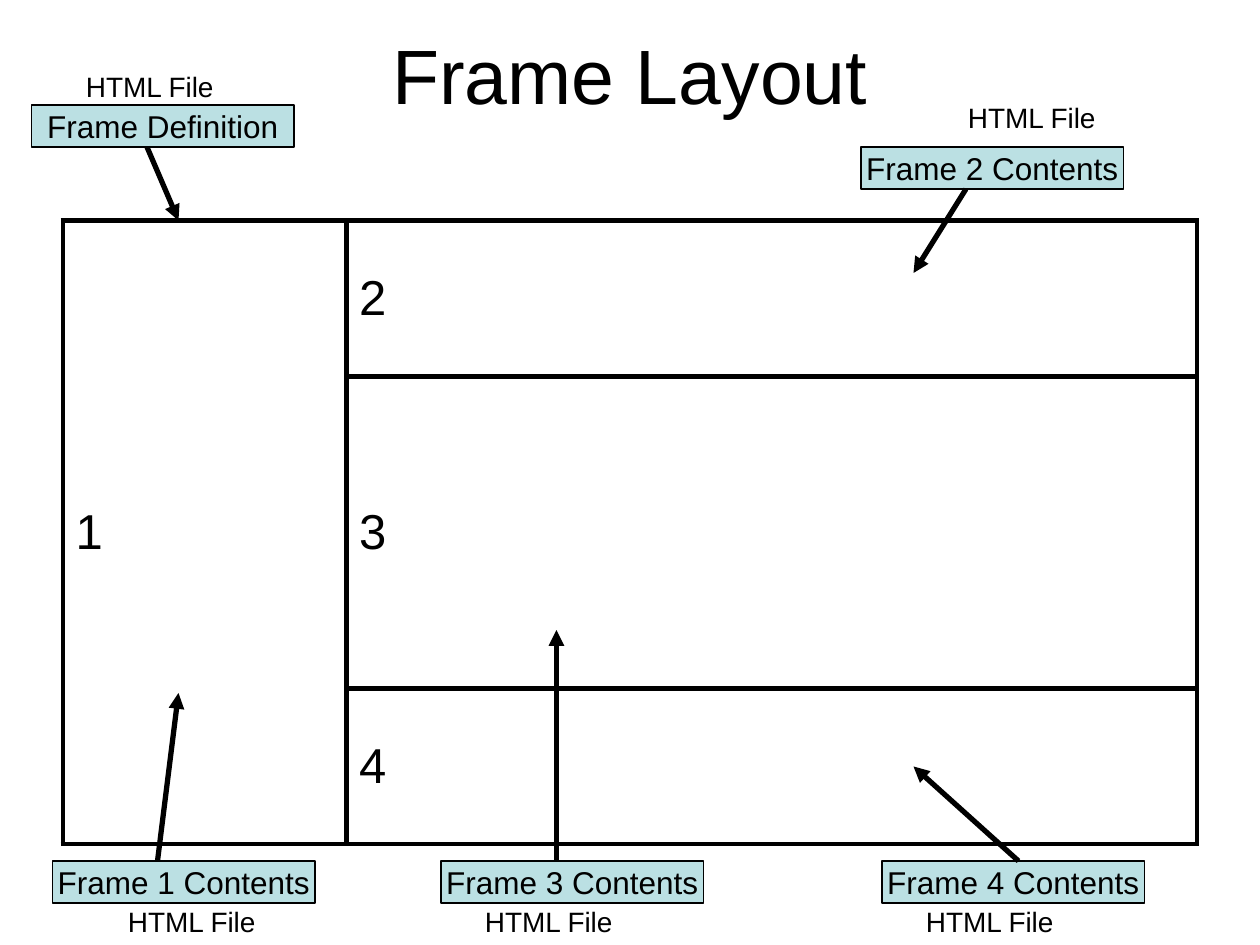
from lxml.etree import SubElement
from pptx import Presentation
from pptx.dml.color import RGBColor
from pptx.enum.shapes import MSO_CONNECTOR, MSO_SHAPE
from pptx.enum.text import MSO_ANCHOR, MSO_AUTO_SIZE, PP_ALIGN
from pptx.oxml import parse_xml
from pptx.oxml.ns import nsdecls, qn
from pptx.util import Pt

COLORS = {"ink": "000000", "box": "BBE0E3"}
FONT = "Arial"
BOX_W, BOX_H = 150, 24
LABEL_W, LABEL_H = 96, 26.5


def rgb(name):
    return RGBColor.from_string(COLORS[name])


class FrameSlide:
    """Holds the slide and draws each kind of element; lengths in points."""

    def __init__(self, s):
        self.s = s

    def set_text(self, tf, text, size, align=PP_ALIGN.LEFT, before=0):
        p = tf.paragraphs[0]
        p.text = text
        p.alignment = align
        p.space_before = Pt(before)
        p.font.name = FONT
        p.font.size = Pt(size)
        p.font.color.rgb = rgb("ink")

    def title(self, text, x, y, w, h):
        sp = self.s.shapes.title
        sp.left, sp.top, sp.width, sp.height = Pt(x), Pt(y), Pt(w), Pt(h)
        sp.text_frame.vertical_anchor = MSO_ANCHOR.MIDDLE
        sp.text_frame.auto_size = MSO_AUTO_SIZE.NONE
        self.set_text(sp.text_frame, text, 44, PP_ALIGN.CENTER)

    def label(self, text, x, y):
        sp = self.s.shapes.add_textbox(Pt(x), Pt(y), Pt(LABEL_W), Pt(LABEL_H))
        tf = sp.text_frame
        tf.word_wrap = True
        tf.auto_size = MSO_AUTO_SIZE.SHAPE_TO_FIT_TEXT
        self.set_text(tf, text, 16, before=10)

    def box(self, text, x, y):
        sp = self.s.shapes.add_shape(
            MSO_SHAPE.RECTANGLE, Pt(x), Pt(y), Pt(BOX_W), Pt(BOX_H))
        sp.shadow.inherit = False
        sp.fill.solid()
        sp.fill.fore_color.rgb = rgb("box")
        sp.line.color.rgb = rgb("ink")
        sp.line.width = Pt(0.75)
        tf = sp.text_frame
        tf.word_wrap = False
        tf.vertical_anchor = MSO_ANCHOR.MIDDLE
        self.set_text(tf, text, 18, PP_ALIGN.CENTER)

    def arrow(self, start, end):
        cxn = self.s.shapes.add_connector(
            MSO_CONNECTOR.STRAIGHT, *map(Pt, start + end))
        cxn.line.color.rgb = rgb("ink")
        cxn.line.width = Pt(3)
        sp_pr = cxn._element.spPr
        SubElement(sp_pr.find(qn("a:ln")), qn("a:tailEnd"), type="triangle")
        SubElement(sp_pr, qn("a:effectLst"))

    def borders(self, cell, width):
        tc_pr = cell._tc.get_or_add_tcPr()
        for i, side in enumerate("LRTB"):
            tc_pr.insert(i, parse_xml(
                f'<a:ln{side} {nsdecls("a")} w="{Pt(width)}"><a:solidFill>'
                f'<a:srgbClr val="{COLORS["ink"]}"/></a:solidFill></a:ln{side}>'))

    def frames(self, x, y, cols, rows):
        table = self.s.shapes.add_table(
            len(rows), len(cols), Pt(x), Pt(y), Pt(sum(cols)), Pt(sum(rows))).table
        table.first_row = table.horz_banding = False
        for column, w in zip(table.columns, cols):
            column.width = Pt(w)
        for row, h in zip(table.rows, rows):
            row.height = Pt(h)
        for cell in table.iter_cells():
            cell.fill.background()
            cell.vertical_anchor = MSO_ANCHOR.MIDDLE
            self.borders(cell, 3)
        # Frame 1 spans the left column, the others stack on the right
        table.cell(0, 0).merge(table.cell(len(rows) - 1, 0))
        numbered = [table.cell(0, 0)] + [table.cell(i, 1) for i in range(len(rows))]
        for number, cell in enumerate(numbered, 1):
            self.set_text(cell.text_frame, str(number), 28, before=7)


# Box text, box corner, label corner, arrow start and end
FILES = [
    ("Frame Definition", (18, 60), (42, 36), (84, 84), (102, 126)),
    ("Frame 2 Contents", (492, 84), (546, 54), (552, 108), (522, 156)),
    ("Frame 4 Contents", (504, 492), (522, 513.5), (582, 492), (522, 438)),
    ("Frame 3 Contents", (252, 492), (270, 513.5), (318, 492), (318, 360)),
    ("Frame 1 Contents", (30, 492), (66, 513.5), (90, 492), (102, 396)),
]


def main():
    prs = Presentation()
    prs.slide_width, prs.slide_height = Pt(720), Pt(540)
    slide = FrameSlide(prs.slides.add_slide(prs.slide_layouts[5]))

    # Title and frame grid
    slide.title("Frame Layout", 36, 12, 648, 60)
    slide.frames(36, 126, cols=[162, 486], rows=[89.1, 178.2, 89.1])

    # Source files pointing at their frames
    for text, box, label, start, end in FILES:
        slide.box(text, *box)
        slide.label("HTML File", *label)
        slide.arrow(start, end)

    prs.save("out.pptx")


if __name__ == "__main__":
    main()
